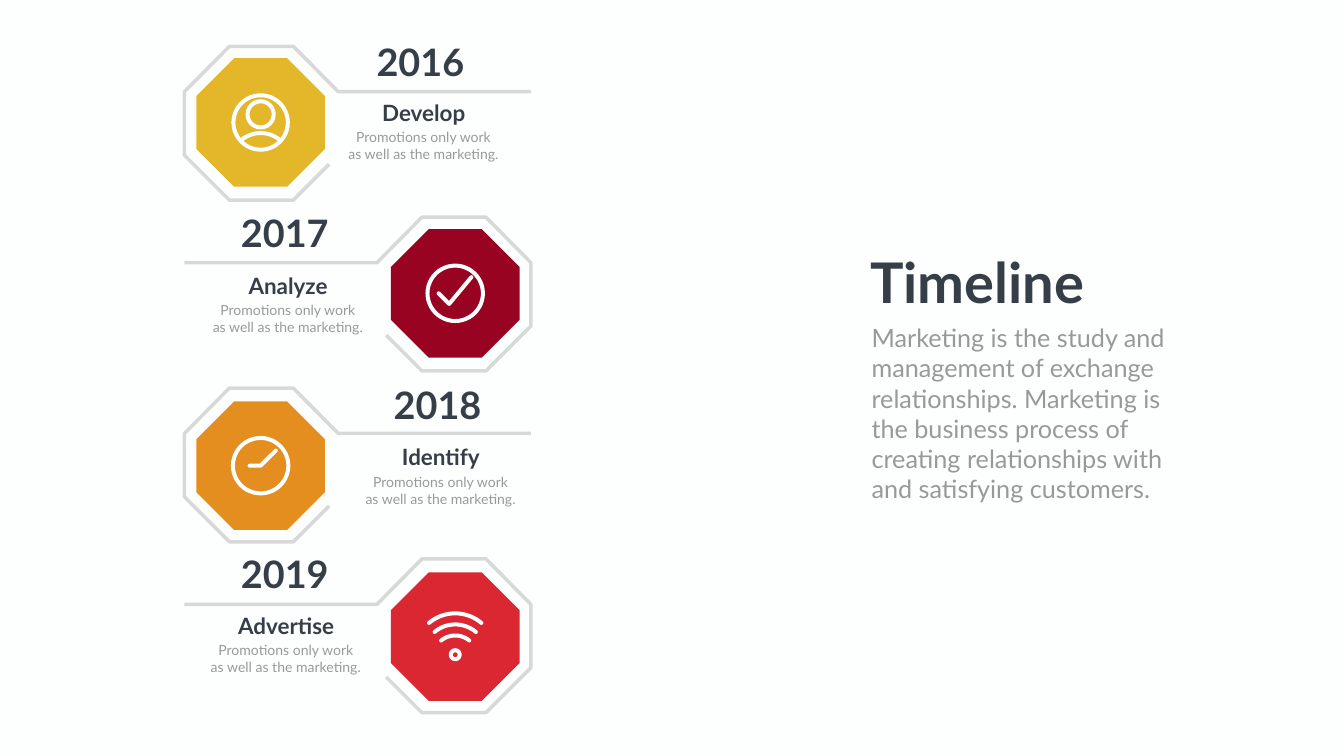
from dataclasses import dataclass
from math import asin, cos, pi, sin

from lxml.etree import SubElement
from pptx import Presentation
from pptx.dml.color import RGBColor
from pptx.enum.shapes import MSO_SHAPE
from pptx.enum.text import MSO_ANCHOR, MSO_AUTO_SIZE, PP_ALIGN
from pptx.oxml.ns import qn
from pptx.util import Inches, Pt


@dataclass(frozen=True)
class Theme:
    font: str = "Lato"
    paper: str = "FDFFFE"
    ink: str = "363E48"
    mute: str = "999999"
    rail: str = "808080"
    head: int = 80
    year: int = 54
    body: int = 36
    label: int = 32
    note: int = 20
    rule: float = 5
    pen: float = 5.7


THEME = Theme()
STEP = 3.39
AXIS = 7.095
SIDE = 2.55
LEFT, RIGHT = 5.17, 9.03
RAIL = [(6.53, 3.26), (5.82, 3.97), (4.55, 3.97), (3.66, 3.08), (3.66, 1.82),
        (4.55, 0.92), (5.82, 0.92), (6.71, 1.82), (10.53, 1.82)]
NOTE = ["Promotions only work", "as well as the marketing."]
BODY = ("Marketing is the study and management of exchange relationships. "
        "Marketing is the business process of creating relationships with "
        "and satisfying customers.")


def ink(code):
    return RGBColor.from_string(code)


def box(x, y, w, h):
    return [Inches(v) for v in (x, y, w, h)]


def style(shape, lines, size, color, bold=False, align=PP_ALIGN.CENTER, wrap=True):
    frame = shape.text_frame
    frame.word_wrap = wrap
    frame.auto_size = MSO_AUTO_SIZE.SHAPE_TO_FIT_TEXT
    frame.vertical_anchor = MSO_ANCHOR.TOP
    frame.text = "\n".join(lines)
    for para in frame.paragraphs:
        para.alignment = align
        para.font.name = THEME.font
        para.font.size = Pt(size)
        para.font.bold = bold
        para.font.color.rgb = ink(color)


def text(slide, place, *args, **more):
    style(slide.shapes.add_textbox(*box(*place)), *args, **more)


def outline(shape, color, width):
    shape.shadow.inherit = False
    shape.fill.background()
    shape.line.color.rgb = ink(color)
    shape.line.width = Pt(width)


def stroke(slide, points, color=THEME.paper, width=THEME.pen, cap="rnd"):
    spots = [(Inches(x), Inches(y)) for x, y in points]
    build = slide.shapes.build_freeform(*spots[0])
    build.add_line_segments(spots[1:], close=False)
    shape = build.convert_to_shape()
    outline(shape, color, width)
    shape.line._get_or_add_ln().set("cap", cap)
    return shape


def rail(slide, row):
    points = [(2 * AXIS - x if row % 2 else x, y + row * STEP) for x, y in RAIL]
    shape = stroke(slide, points, THEME.rail, THEME.rule, "flat")
    tint = shape.line._get_or_add_ln().find(".//" + qn("a:srgbClr"))
    SubElement(tint, qn("a:alpha")).set("val", "30000")


def badge(slide, x, y, color):
    place = box(x - SIDE / 2, y - SIDE / 2, SIDE, SIDE)
    shape = slide.shapes.add_shape(MSO_SHAPE.OCTAGON, *place)
    shape.adjustments[0] = 0.294
    shape.shadow.inherit = False
    shape.fill.solid()
    shape.fill.fore_color.rgb = ink(color)
    shape.line.fill.background()


def ring(slide, x, y, size):
    place = box(x - size / 2, y - size / 2, size, size)
    outline(slide.shapes.add_shape(MSO_SHAPE.OVAL, *place), THEME.paper, THEME.pen)


def bow(slide, x, top, half, rise, count=24):
    radius = (half ** 2 + rise ** 2) / (2 * rise)
    sweep = asin(half / radius)
    turns = [sweep * (2 * i / count - 1) for i in range(count + 1)]
    stroke(slide, [(x + radius * sin(t), top + radius * (1 - cos(t))) for t in turns])


def person(slide, x, y):
    ring(slide, x, y, 1.08)
    ring(slide, x, y - 0.16, 0.52)
    bow(slide, x, y + 0.21, 0.36, 0.12)


def check(slide, x, y):
    ring(slide, x, y, 1.1)
    stroke(slide, [(x - 0.33, y), (x - 0.12, y + 0.21), (x + 0.32, y - 0.32)])


def clock(slide, x, y):
    ring(slide, x, y, 1.1)
    stroke(slide, [(x - 0.22, y), (x, y), (x + 0.3, y - 0.3)])


def signal(slide, x, y):
    for top, half, rise in [(-0.46, 0.52, 0.19), (-0.24, 0.41, 0.15), (-0.02, 0.28, 0.1)]:
        bow(slide, x, y + top, half, rise)
    ring(slide, x, y + 0.36, 0.18)


STAGES = [
    ("2016", 7.36, 0.71, "Develop", 7.1, 1.91, LEFT, 2.43, "E4B629", person),
    ("2017", 4.67, 4.11, "Analyze", 4.41, 5.35, RIGHT, 5.82, "970320", check),
    ("2018", 7.7, 7.53, "Identify", 7.44, 8.75, LEFT, 9.24, "E58E20", clock),
    ("2019", 4.67, 10.88, "Advertise", 4.37, 12.09, RIGHT, 12.63, "DB2732", signal),
]


def stage(slide, row, year, left, top, label, x, y, mid, level, color, icon):
    rail(slide, row)
    badge(slide, mid, level, color)
    icon(slide, mid, level)
    text(slide, (left, top, 1.96, 1.01), [year], THEME.year, THEME.ink, bold=True, wrap=False)
    text(slide, (x, y, 2.61, 0.64), [label], THEME.label, THEME.ink, bold=True)
    text(slide, (x - 0.71, y + 0.59, 4.02, 0.77), NOTE, THEME.note, THEME.mute)


def intro(slide):
    title = slide.shapes.title
    title.left, title.top, title.width, title.height = box(17.16, 4.86, 4.53, 1.45)
    style(title, ["Timeline"], THEME.head, THEME.ink, bold=True,
          align=PP_ALIGN.LEFT, wrap=False)
    text(slide, (17.19, 6.35, 6.54, 3.74), [BODY], THEME.body, THEME.mute,
         align=PP_ALIGN.LEFT)


def main():
    deck = Presentation()
    deck.slide_width, deck.slide_height = Inches(26.66), Inches(15)
    slide = deck.slides.add_slide(deck.slide_layouts[5])
    slide.background.fill.solid()
    slide.background.fill.fore_color.rgb = ink(THEME.paper)
    for row, data in enumerate(STAGES):
        stage(slide, row, *data)
    intro(slide)
    deck.save("out.pptx")


if __name__ == "__main__":
    main()
